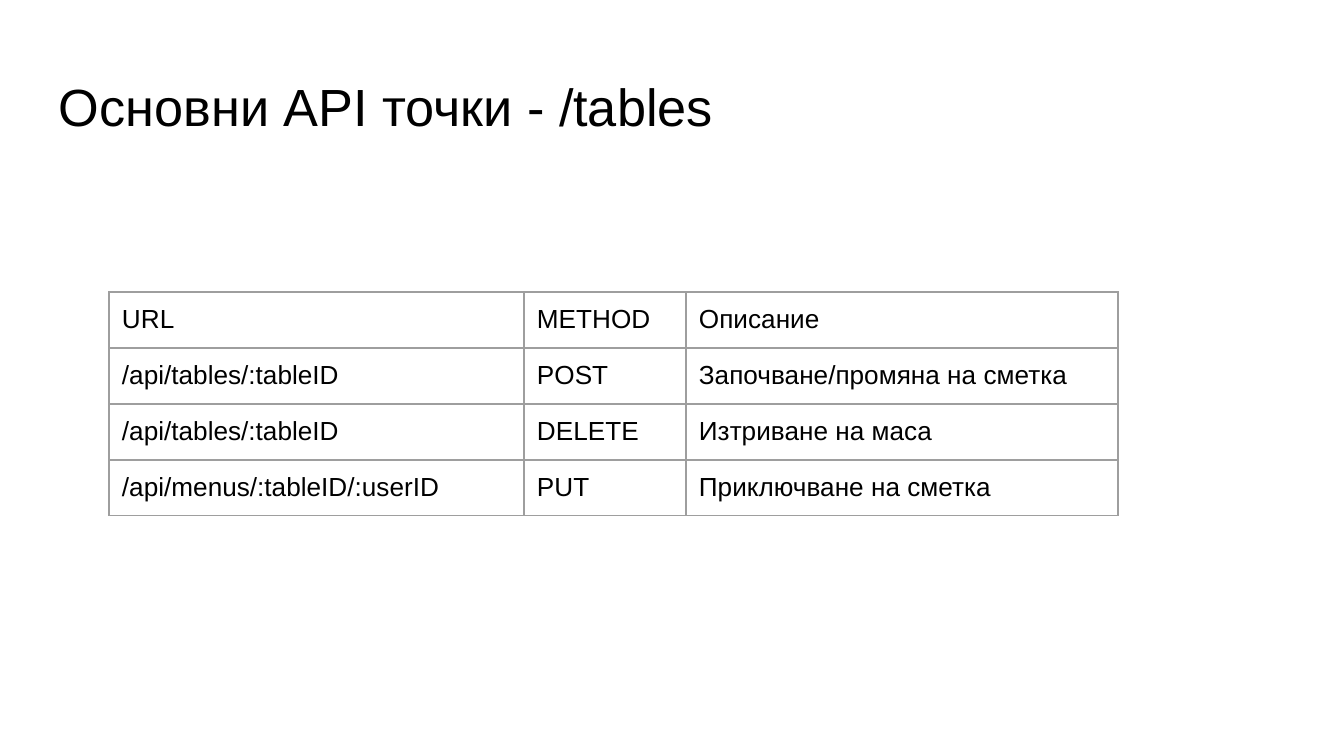
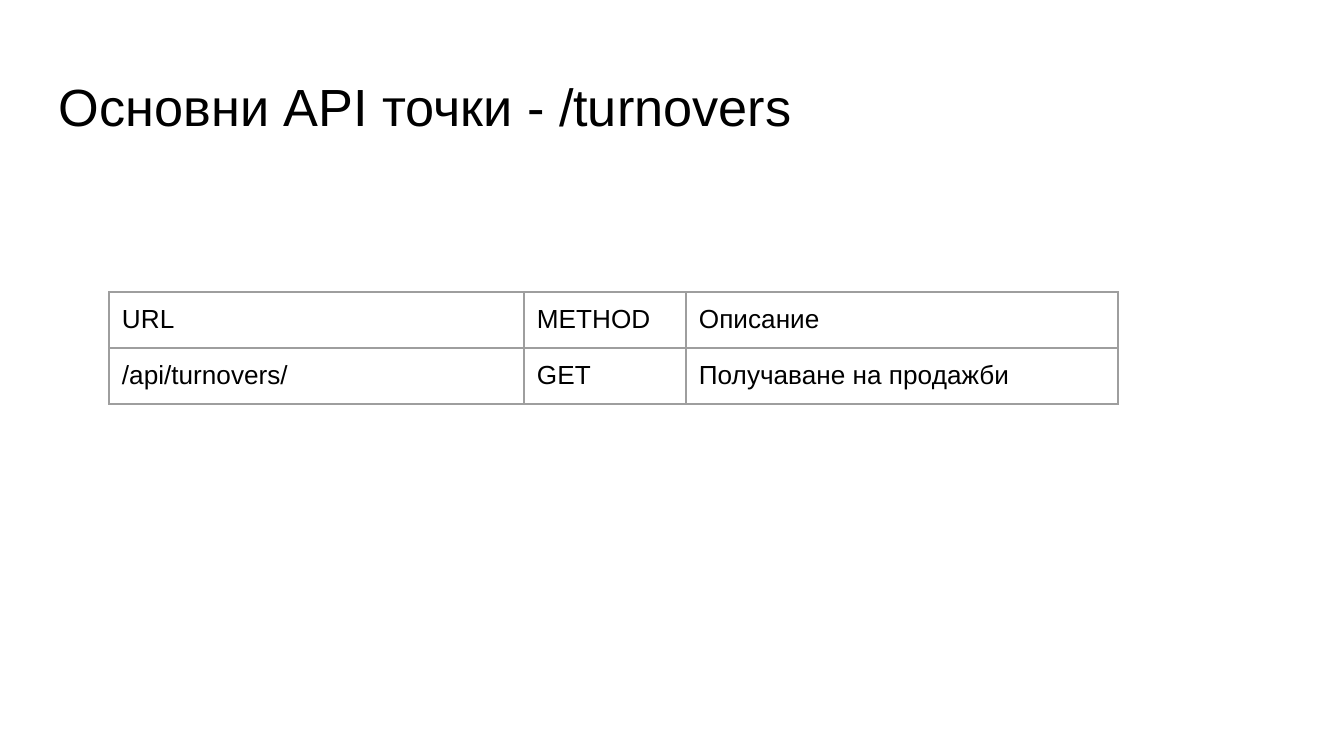
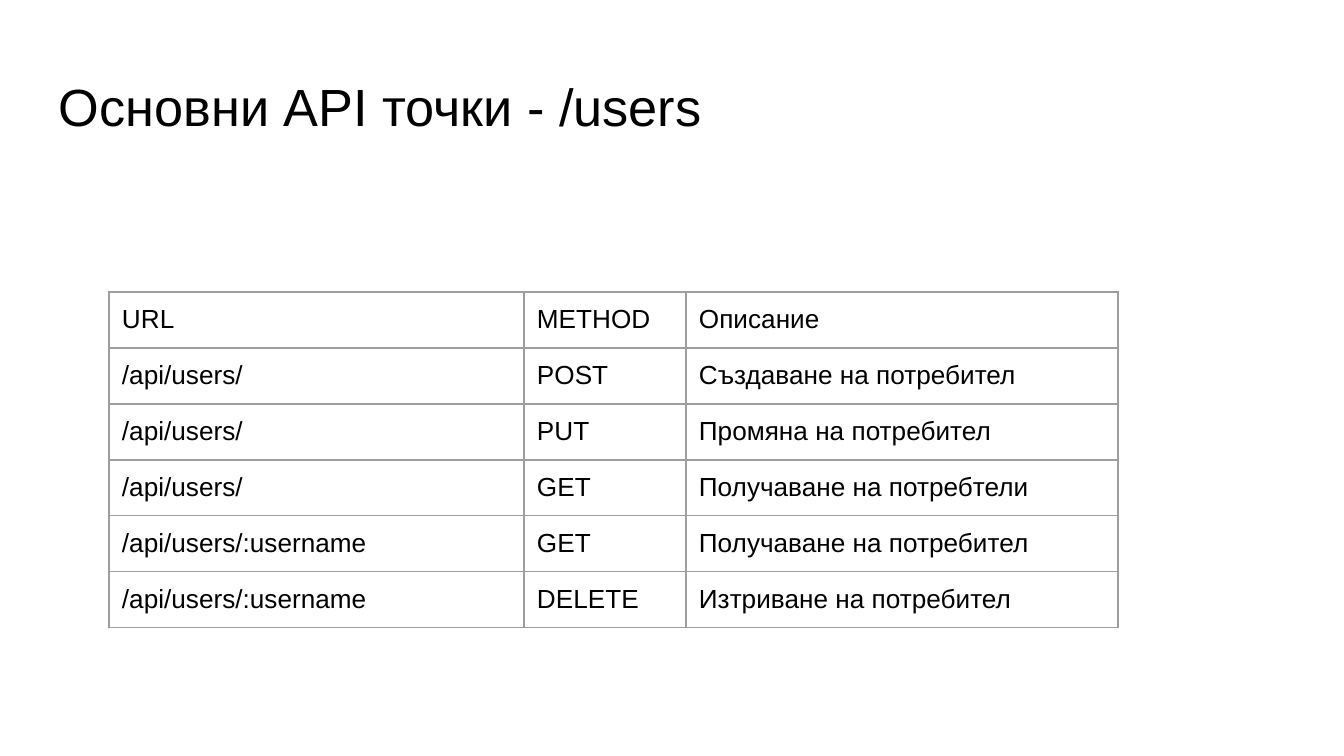
import lxml.etree
import pptx
import pptx.dml.color
import pptx.enum.text
import pptx.oxml.ns
import pptx.util

SCALE = 914400 / 134.4  # EMU per pixel
COLORS = {"background": "FFFFFF", "text": "000000", "border": "9E9E9E"}
FONT = "Arial"
INSET = 13
TITLE_BOX = (46, 55, 1252, 84)
TABLE_ORIGIN = (109, 292)
COLUMNS = (415, 162, 432)
ROW_HEIGHT = 56
HEADER = ("URL", "METHOD", "Описание")

# Endpoints of each API section
SECTIONS = {
    "/tables": [
        ("/api/tables/:tableID", "POST", "Започване/промяна на сметка"),
        ("/api/tables/:tableID", "DELETE", "Изтриване на маса"),
        ("/api/menus/:tableID/:userID", "PUT", "Приключване на сметка"),
    ],
    "/turnovers": [
        ("/api/turnovers/", "GET", "Получаване на продажби"),
    ],
    "/users": [
        ("/api/users/", "POST", "Създаване на потребител"),
        ("/api/users/", "PUT", "Промяна на потребител"),
        ("/api/users/", "GET", "Получаване на потребтели"),
        ("/api/users/:username", "GET", "Получаване на потребител"),
        ("/api/users/:username", "DELETE", "Изтриване на потребител"),
    ],
}


def px(n):
    return pptx.util.Emu(round(n * SCALE))


def rgb(name):
    return pptx.dml.color.RGBColor.from_string(COLORS[name])


def format_text(tf, size):
    for p in tf.paragraphs:
        p.alignment = pptx.enum.text.PP_ALIGN.LEFT
        for r in p.runs:
            r.font.name = FONT
            r.font.size = pptx.util.Pt(size)
            r.font.color.rgb = rgb("text")


def set_borders(cell):
    tcPr = cell._tc.get_or_add_tcPr()
    qn = pptx.oxml.ns.qn
    for side in ("a:lnL", "a:lnR", "a:lnT", "a:lnB"):
        ln = lxml.etree.SubElement(tcPr, qn(side), w=str(pptx.util.Pt(0.75)))
        fill = lxml.etree.SubElement(ln, qn("a:solidFill"))
        lxml.etree.SubElement(fill, qn("a:srgbClr"), val=COLORS["border"])


def add_title(slide, text, box):
    sp = slide.shapes.title
    sp.left, sp.top, sp.width, sp.height = map(px, box)
    tf = sp.text_frame
    tf.text = text
    tf.word_wrap = True
    tf.auto_size = pptx.enum.text.MSO_AUTO_SIZE.NONE
    tf.vertical_anchor = pptx.enum.text.MSO_ANCHOR.TOP
    tf.margin_left = tf.margin_right = px(INSET)
    # The title line sits a little low in its box
    tf.margin_top, tf.margin_bottom = px(INSET + 6), px(INSET - 6)
    format_text(tf, 28)


def add_endpoint_table(slide, rows, origin):
    left, top = origin
    table = slide.shapes.add_table(
        len(rows), len(COLUMNS), px(left), px(top),
        px(sum(COLUMNS)), px(ROW_HEIGHT * len(rows))).table
    table.first_row = table.horz_banding = False
    for column, width in zip(table.columns, COLUMNS):
        column.width = px(width)
    for i, row in enumerate(rows):
        for j, text in enumerate(row):
            cell = table.cell(i, j)
            cell.text_frame.text = text
            cell.margin_left = cell.margin_right = px(INSET)
            cell.margin_top = cell.margin_bottom = px(INSET)
            format_text(cell.text_frame, 14)
            set_borders(cell)
            cell.fill.background()


def add_section_slide(prs, section, endpoints):
    slide = prs.slides.add_slide(prs.slide_layouts[5])
    slide.background.fill.solid()
    slide.background.fill.fore_color.rgb = rgb("background")
    add_title(slide, f"Основни API точки - {section}", TITLE_BOX)
    add_endpoint_table(slide, [HEADER] + endpoints, TABLE_ORIGIN)


prs = pptx.Presentation()
prs.slide_width, prs.slide_height = px(1344), px(756)
for section, endpoints in SECTIONS.items():
    add_section_slide(prs, section, endpoints)
prs.save("out.pptx")
